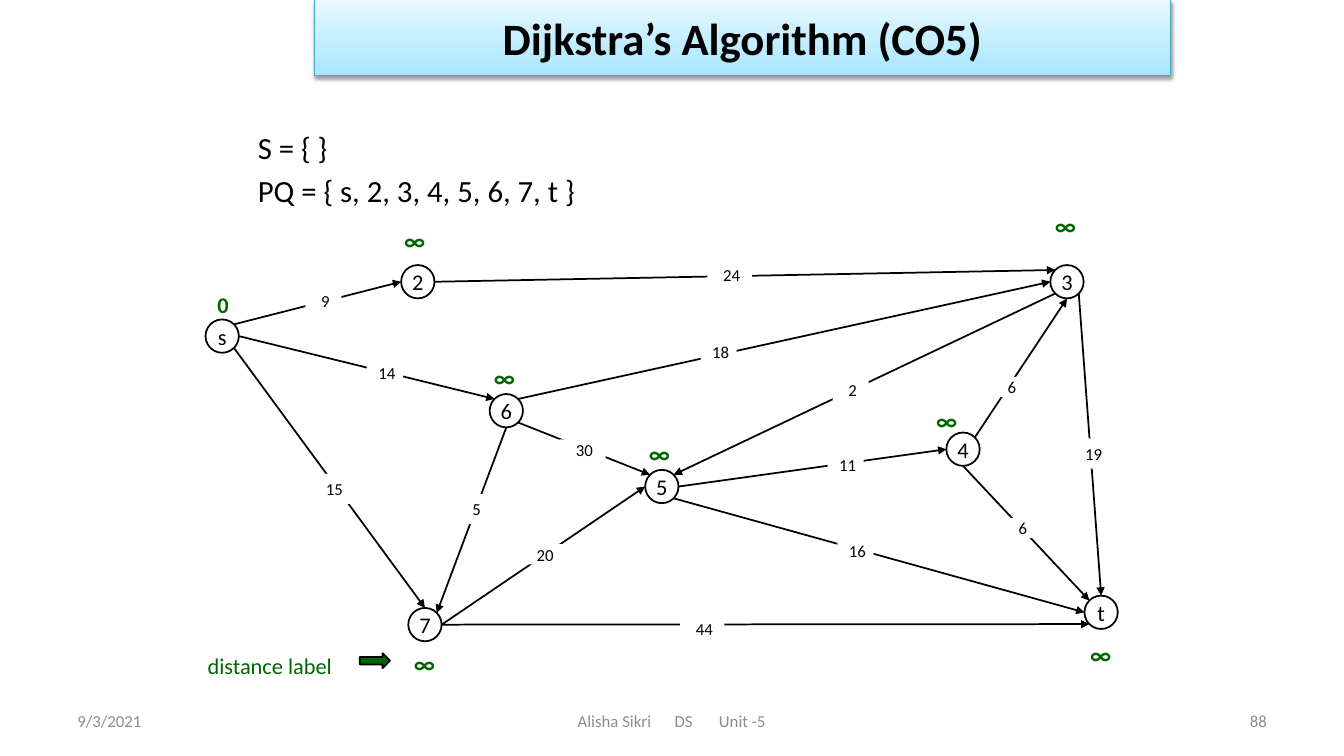
"""Build the slide that sets up Dijkstra's algorithm on a weighted graph."""
from dataclasses import dataclass
from math import cos, radians, sin

from lxml import etree
from pptx import Presentation
from pptx.dml.color import RGBColor
from pptx.enum.shapes import MSO_CONNECTOR, MSO_SHAPE
from pptx.enum.text import MSO_ANCHOR, PP_ALIGN
from pptx.oxml.ns import qn
from pptx.util import Cm, Pt

LEFT, CENTER, RIGHT = PP_ALIGN.LEFT, PP_ALIGN.CENTER, PP_ALIGN.RIGHT
MIDDLE = MSO_ANCHOR.MIDDLE
RECT, OVAL, ARROW = MSO_SHAPE.RECTANGLE, MSO_SHAPE.OVAL, MSO_SHAPE.RIGHT_ARROW
STRAIGHT = MSO_CONNECTOR.STRAIGHT

FONT = "Calibri"
BLACK, WHITE, GREEN, GRAY = "000000", "FFFFFF", "006600", "8C8C8C"
DIAMETER = 0.84
LINE_WIDTH = 1.25
TOP, TOP_LEFT, LEFT_SIDE, BOTTOM_LEFT, BOTTOM, BOTTOM_RIGHT, RIGHT_SIDE, TOP_RIGHT = range(8)


@dataclass
class Node:
    x: float
    y: float
    distance: str
    distance_x: float
    distance_y: float
    distance_size: int = 18


@dataclass
class Edge:
    start: str
    start_site: int
    end: str
    end_site: int
    weight: int
    x: float
    y: float
    width: float = 0.91
    height: float = 0.51


NODES = {
    "s": Node(5.6, 8.47, "0", 5.55, 7.68, 16),
    "3": Node(26.89, 7.1, "∞", 26.78, 5.69),
    "t": Node(27.75, 15.43, "∞", 27.67, 16.48),
    "2": Node(10.53, 7.1, "∞", 10.38, 6.05),
    "6": Node(12.76, 10.35, "∞", 12.64, 9.5),
    "7": Node(10.71, 15.74, "∞", 10.63, 16.71),
    "4": Node(24.27, 11.32, "∞", 23.79, 10.59),
    "5": Node(16.68, 12.26, "∞", 16.55, 11.43),
}
EDGES = [
    Edge("s", TOP_RIGHT, "2", LEFT_SIDE, 9, 8.15, 7.57),
    Edge("s", RIGHT_SIDE, "6", TOP_LEFT, 14, 9.7, 9.4),
    Edge("s", BOTTOM_RIGHT, "7", TOP, 15, 8.38, 12.32, height=0.76),
    Edge("6", TOP_RIGHT, "3", LEFT_SIDE, 18, 18.11, 8.86),
    Edge("4", TOP_RIGHT, "3", BOTTOM, 6, 25.45, 9.75),
    Edge("6", BOTTOM_RIGHT, "5", TOP_LEFT, 30, 14.68, 11.33, 1.17),
    Edge("5", BOTTOM_RIGHT, "t", LEFT_SIDE, 16, 21.56, 13.89),
    Edge("5", RIGHT_SIDE, "4", LEFT_SIDE, 11, 21.31, 11.71),
    Edge("4", BOTTOM, "t", TOP_LEFT, 6, 25.73, 13.31),
    Edge("3", BOTTOM_LEFT, "5", TOP_RIGHT, 2, 21.44, 9.83),
    Edge("6", BOTTOM, "7", TOP_RIGHT, 5, 11.96, 12.83, height=0.76),
    Edge("7", RIGHT_SIDE, "5", LEFT_SIDE, 20, 13.69, 13.97, 1.12),
    Edge("2", RIGHT_SIDE, "3", TOP_LEFT, 24, 18.39, 6.93, 1.12),
    Edge("7", RIGHT_SIDE, "t", BOTTOM_LEFT, 44, 17.7, 15.85, 1.12),
    Edge("3", BOTTOM_RIGHT, "t", TOP, 19, 27.51, 11.43, height=0.76),
]


def rgb(color: str) -> RGBColor:
    return RGBColor.from_string(color)


def write(sp, text: str, *, size: float, color: str = BLACK, bold: bool = False,
          align=CENTER, left: float = 0, right: float = 0, wrap: bool = True,
          before: float = 0, tabs: tuple = ()) -> None:
    tf = sp.text_frame
    tf.word_wrap = wrap
    tf.vertical_anchor = MIDDLE
    tf.margin_left, tf.margin_right = Cm(left), Cm(right)
    tf.margin_top = tf.margin_bottom = 0
    for i, line in enumerate(text.split("\n")):
        p = tf.add_paragraph() if i else tf.paragraphs[0]
        p.alignment = align
        if i:
            p.space_before = Pt(before)
        if tabs:
            tab_list = etree.SubElement(p._p.get_or_add_pPr(), qn("a:tabLst"))
            for stop in tabs:
                etree.SubElement(tab_list, qn("a:tab"), pos=str(Cm(stop)), algn="l")
        r = p.add_run()
        r.text = line
        r.font.name, r.font.size, r.font.bold = FONT, Pt(size), bold
        r.font.color.rgb = rgb(color)


def add_box(s, shape, x: float, y: float, w: float, h: float,
            fill: str = WHITE, line: str = "", width: float = LINE_WIDTH):
    sp = s.shapes.add_shape(shape, Cm(x), Cm(y), Cm(w), Cm(h))
    sp.shadow.inherit = False
    sp.fill.solid()
    sp.fill.fore_color.rgb = rgb(fill)
    if line:
        sp.line.color.rgb = rgb(line)
        sp.line.width = Pt(width)
    else:
        sp.line.fill.background()
    return sp


def add_text(s, text: str, x: float, y: float, w: float, h: float, **fmt) -> None:
    write(s.shapes.add_textbox(Cm(x), Cm(y), Cm(w), Cm(h)), text, **fmt)


def site_point(node: Node, site: int) -> tuple[float, float]:
    angle = radians(45 * site)
    return node.x - DIAMETER / 2 * sin(angle), node.y - DIAMETER / 2 * cos(angle)


def add_edge(s, edge: Edge) -> None:
    x1, y1 = site_point(NODES[edge.start], edge.start_site)
    x2, y2 = site_point(NODES[edge.end], edge.end_site)
    sp = s.shapes.add_connector(STRAIGHT, Cm(x1), Cm(y1), Cm(x2), Cm(y2))
    sp.line.color.rgb = rgb(BLACK)
    sp.line.width = Pt(LINE_WIDTH)
    etree.SubElement(sp.line._get_or_add_ln(), qn("a:tailEnd"), type="triangle")
    etree.SubElement(sp._element.spPr, qn("a:effectLst"))


def add_weight(s, edge: Edge) -> None:
    sp = add_box(s, RECT, edge.x - edge.width / 2, edge.y - edge.height / 2,
                 edge.width, edge.height)
    write(sp, str(edge.weight), size=12, left=0.1)


def add_node(s, name: str, node: Node) -> None:
    sp = add_box(s, OVAL, node.x - DIAMETER / 2, node.y - DIAMETER / 2,
                 DIAMETER, DIAMETER, line=BLACK)
    write(sp, name, size=16, wrap=False)


def add_distance(s, node: Node) -> None:
    add_text(s, node.distance, node.distance_x - 0.75, node.distance_y - 0.5, 1.5, 1,
             size=node.distance_size, color=GREEN, bold=True, left=0.14)


def add_title(s) -> None:
    sp = add_box(s, RECT, 7.92, 0, 21.59, 1.91, line="46AAC5", width=0.75)
    sp.fill.gradient()
    sp.fill.gradient_angle = 90
    for stop, color in zip(sp.fill.gradient_stops, ("A7E6FF", "E7F8FF")):
        stop.color.rgb = rgb(color)
    effects = sp._element.spPr.find(qn("a:effectLst"))
    shadow = etree.SubElement(effects, qn("a:outerShdw"), blurRad=str(Pt(3.1)),
                              dist=str(Pt(1.6)), dir="5400000", rotWithShape="0")
    tint = etree.SubElement(shadow, qn("a:srgbClr"), val=BLACK)
    etree.SubElement(tint, qn("a:alpha"), val="38000")
    write(sp, "Dijkstra’s Algorithm (CO5)", size=32, bold=True)


def main() -> None:
    prs = Presentation()
    prs.slide_width, prs.slide_height = Cm(33.87), Cm(19.05)
    s = prs.slides.add_slide(prs.slide_layouts[6])
    for name, node in NODES.items():
        add_node(s, name, node)
    for edge in EDGES:
        add_edge(s, edge)
    for edge in EDGES:
        add_weight(s, edge)
    for node in NODES.values():
        add_distance(s, node)
    add_text(s, "distance label", 4.57, 16.3, 4.32, 0.94, size=16, color=GREEN, left=0.14)
    add_box(s, ARROW, 9.07, 16.46, 0.76, 0.38, GREEN, BLACK)
    sets = add_box(s, RECT, 5.99, 3.07, 11.13, 2.34)
    write(sets, "S = { }\nPQ = { s, 2, 3, 4, 5, 6, 7, t }", size=22, align=LEFT,
          left=0.51, right=0.51, before=4.4)
    add_title(s)
    footer = {"size": 12, "color": GRAY}
    add_text(s, "9/3/2021", 1.7, 17.65, 7.9, 1.02, align=LEFT, left=0.25, **footer)
    add_text(s, "88", 24.28, 17.65, 7.9, 1.02, align=RIGHT, right=0.25, **footer)
    add_text(s, "Alisha Sikri\tDS\tUnit -5", 11.58, 17.65, 10.72, 1.02,
             align=LEFT, left=2.98, tabs=(2.44, 3.56), **footer)
    prs.save("out.pptx")


if __name__ == "__main__":
    main()
